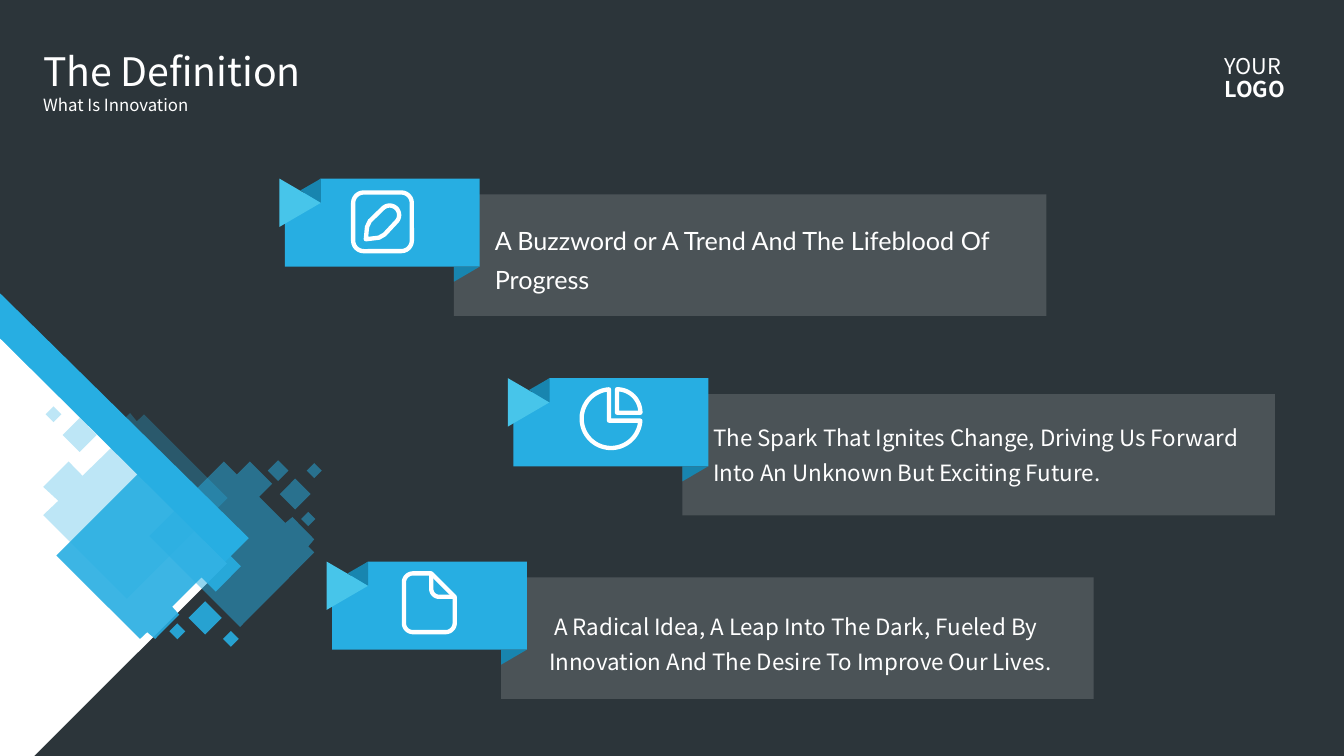
import math

from lxml import etree
from pptx import Presentation
from pptx import util as u
from pptx.dml.color import RGBColor
from pptx.enum import shapes, text
from pptx.oxml.ns import qn

DARK = RGBColor(0x2C, 0x35, 0x3A)
WHITE = RGBColor(0xFF, 0xFF, 0xFF)
BLUE = RGBColor(0x27, 0xAE, 0xE2)
LIGHT_BLUE = RGBColor(0x47, 0xC5, 0xEA)
DEEP_BLUE = RGBColor(0x18, 0x85, 0xAF)
SANS = "Noto Sans CJK JP"
STROKE = u.Pt(3.1)

BANNERS = [
    (7.04, 4.5, 12.47, 5.44, "Lato", 18,
     "A Buzzword or A Trend And The Lifeblood Of Progress"),
    (12.8, 9.53, 17.98, 10.49, SANS, 16,
     "The Spark That Ignites Change, Driving Us Forward Into An Unknown But Exciting Future."),
    (8.23, 14.15, 13.84, 15.24, SANS, 16,
     " A Radical Idea, A Leap Into The Dark, Fueled By Innovation And The Desire To Improve Our Lives."),
]

CLUSTERS = [
    (50,
     [(5.64, 11.63), (5.97, 11.96), (6.3, 11.63), (6.86, 12.19), (6.53, 12.52), (7.19, 13.18),
      (7.37, 13.03), (7.92, 13.59), (7.77, 13.77), (7.92, 13.92), (6.05, 15.8), (3.76, 13.51)],
     [(7.77, 13.08, 0.18), (7.44, 12.45, 0.39), (7.92, 11.86, 0.19), (7.01, 11.86, 0.26)]),
    (30,
     [(3.28, 10.41), (3.45, 10.62), (3.63, 10.44), (5.74, 12.55), (3.2, 15.09), (1.09, 12.98),
      (1.47, 12.62), (1.09, 12.27), (1.73, 11.63), (2.08, 11.99), (2.84, 11.25), (2.64, 11.05)],
     [(2.01, 10.96, 0.43), (2.71, 10.62, 0.2), (1.35, 10.44, 0.2)]),
    (90,
     [(3.96, 11.46), (6.07, 13.54), (5.72, 13.92), (6.07, 14.27), (5.44, 14.91), (5.08, 14.55),
      (4.34, 15.29), (4.52, 15.49), (3.91, 16.1), (3.71, 15.93), (3.53, 16.1), (1.42, 14)],
     [(5.82, 16.1, 0.2), (4.47, 15.91, 0.2), (5.17, 15.57, 0.42)]),
]


def outline(s, contours, x=0, y=0, close=True):
    fb = None
    for contour in contours:
        pts = [(u.Cm(x + px), u.Cm(y + py)) for px, py in contour]
        if fb is None:
            fb = s.shapes.build_freeform(*pts[0])
        else:
            fb.move_to(*pts[0])
        fb.add_line_segments(pts[1:], close=close)
    sp = fb.convert_to_shape()
    sp.shadow.inherit = False
    return sp


def filled(s, contours, color, x=0, y=0, alpha=100):
    sp = outline(s, contours, x, y)
    sp.fill.solid()
    sp.fill.fore_color.rgb = color
    sp.line.fill.background()
    if alpha < 100:
        clr = sp.fill._xPr.find(qn("a:solidFill"))[0]
        etree.SubElement(clr, qn("a:alpha")).set("val", str(alpha * 1000))
    return sp


def stroke(sp):
    sp.shadow.inherit = False
    sp.fill.background()
    sp.line.color.rgb = WHITE
    sp.line.width = STROKE


def arc(cx, cy, radius, start, end, steps=24):
    angles = [math.radians(start + (end - start) * i / steps) for i in range(steps + 1)]
    return [(cx + radius * math.cos(a), cy + radius * math.sin(a)) for a in angles]


def diamond(cx, cy, half):
    return [(cx, cy - half), (cx + half, cy), (cx, cy + half), (cx - half, cy)]


def write(sp, lines, size, font=SANS, spacing=1.0):
    tf = sp.text_frame
    tf.word_wrap = True
    tf.auto_size = text.MSO_AUTO_SIZE.NONE
    tf.vertical_anchor = text.MSO_ANCHOR.TOP
    tf.margin_left = tf.margin_right = tf.margin_top = tf.margin_bottom = 0
    for i, (line, bold) in enumerate(lines):
        p = tf.paragraphs[0] if i == 0 else tf.add_paragraph()
        p.alignment = text.PP_ALIGN.LEFT
        p.line_spacing = spacing
        r = p.add_run()
        r.text = line
        r.font.size = u.Pt(size)
        r.font.name = font
        r.font.bold = bold
        r.font.color.rgb = WHITE


def text_box(s, x, y, w, h, lines, size, font=SANS, spacing=1.0):
    sp = s.shapes.add_textbox(u.Cm(x), u.Cm(y), u.Cm(w), u.Cm(h))
    write(sp, lines, size, font, spacing)


def heading(s):
    sp = s.shapes.title
    sp.left, sp.top, sp.width, sp.height = u.Cm(1.09), u.Cm(1.19), u.Cm(9), u.Cm(1.19)
    write(sp, [("The Definition", False)], 28)
    text_box(s, 1.09, 2.39, 8.03, 0.51, [("What Is Innovation", False)], 12)
    text_box(s, 30.86, 1.4, 2.2, 1.4, [("YOUR", False), ("LOGO", True)], 15.5, spacing=0.9)


def ribbon(s, x, y):
    filled(s, [[(5.05, 2.22), (0.14, 2.22), (0.14, 0.74), (1.05, 0), (5.05, 0)]], BLUE, x, y)
    filled(s, [[(0, 0), (1.05, 0.61), (0, 1.22)]], LIGHT_BLUE, x, y)
    filled(s, [[(1.05, 0.61), (0.53, 0.3), (1.05, 0)]], DEEP_BLUE, x, y)
    filled(s, [[(4.4, 2.22), (5.05, 2.22), (4.4, 2.6)]], DEEP_BLUE, x, y)


def pencil_icon(s, x, y):
    sp = s.shapes.add_shape(shapes.MSO_SHAPE.ROUNDED_RECTANGLE,
                            u.Cm(x + 0.05), u.Cm(y + 0.05), u.Cm(1.48), u.Cm(1.48))
    sp.adjustments[0] = 0.18
    stroke(sp)
    pencil = [(0.37, 1.23), (0.4, 0.92), (0.47, 0.77)]
    pencil += arc(0.97, 0.62, 0.24, 225, 405) + [(0.84, 1.11), (0.7, 1.19)]
    stroke(outline(s, [pencil], x, y))


def pie_icon(s, x, y):
    stroke(outline(s, [arc(0.79, 0.79, 0.74, 4, 266, 60) + [(0.74, 0.84)]], x, y))
    stroke(outline(s, [arc(0.94, 0.64, 0.59, -90, 0) + [(0.94, 0.64)]], x, y))


def page_icon(s, x, y):
    page = [(0.74, 0.05), (1.33, 0.64)]
    for cx, cy, start in [(1.1, 1.3, 0), (0.28, 1.3, 90), (0.28, 0.28, 180)]:
        page += arc(cx, cy, 0.23, start, start + 90)
    stroke(outline(s, [page], x, y))
    fold = [(0.74, 0.05)] + arc(0.94, 0.44, 0.2, 180, 90) + [(1.33, 0.64)]
    stroke(outline(s, [fold], x, y, close=False))


def corner_art(s):
    filled(s, [[(0, 7.39), (6.27, 13.56), (0.81, 19.05), (0, 19.05)]], BLUE)
    filled(s, [[(0, 8.53), (5.72, 14.2), (0.86, 19.05), (0, 19.05)]], WHITE)
    for alpha, body, diamonds in CLUSTERS:
        filled(s, [body] + [diamond(*d) for d in diamonds], BLUE, alpha=alpha)


def main():
    prs = Presentation()
    prs.slide_width, prs.slide_height = u.Cm(33.87), u.Cm(19.05)
    s = prs.slides.add_slide(prs.slide_layouts[5])
    s.background.fill.solid()
    s.background.fill.fore_color.rgb = DARK
    heading(s)
    for x, y, tx, ty, font, size, words in BANNERS:
        filled(s, [[(4.4, 0.4), (19.33, 0.4), (19.33, 3.46), (4.4, 3.46)]], WHITE, x, y, alpha=15)
        ribbon(s, x, y)
        text_box(s, tx, ty, 13.33, 1.9, [(words, False)], size, font, 1.3)
    icons = [(pencil_icon, 1.81, 0.3), (pie_icon, 1.81, 0.23), (page_icon, 1.9, 0.25)]
    for (icon, dx, dy), banner in zip(icons, BANNERS):
        icon(s, banner[0] + dx, banner[1] + dy)
    corner_art(s)
    prs.save("out.pptx")


if __name__ == "__main__":
    main()
